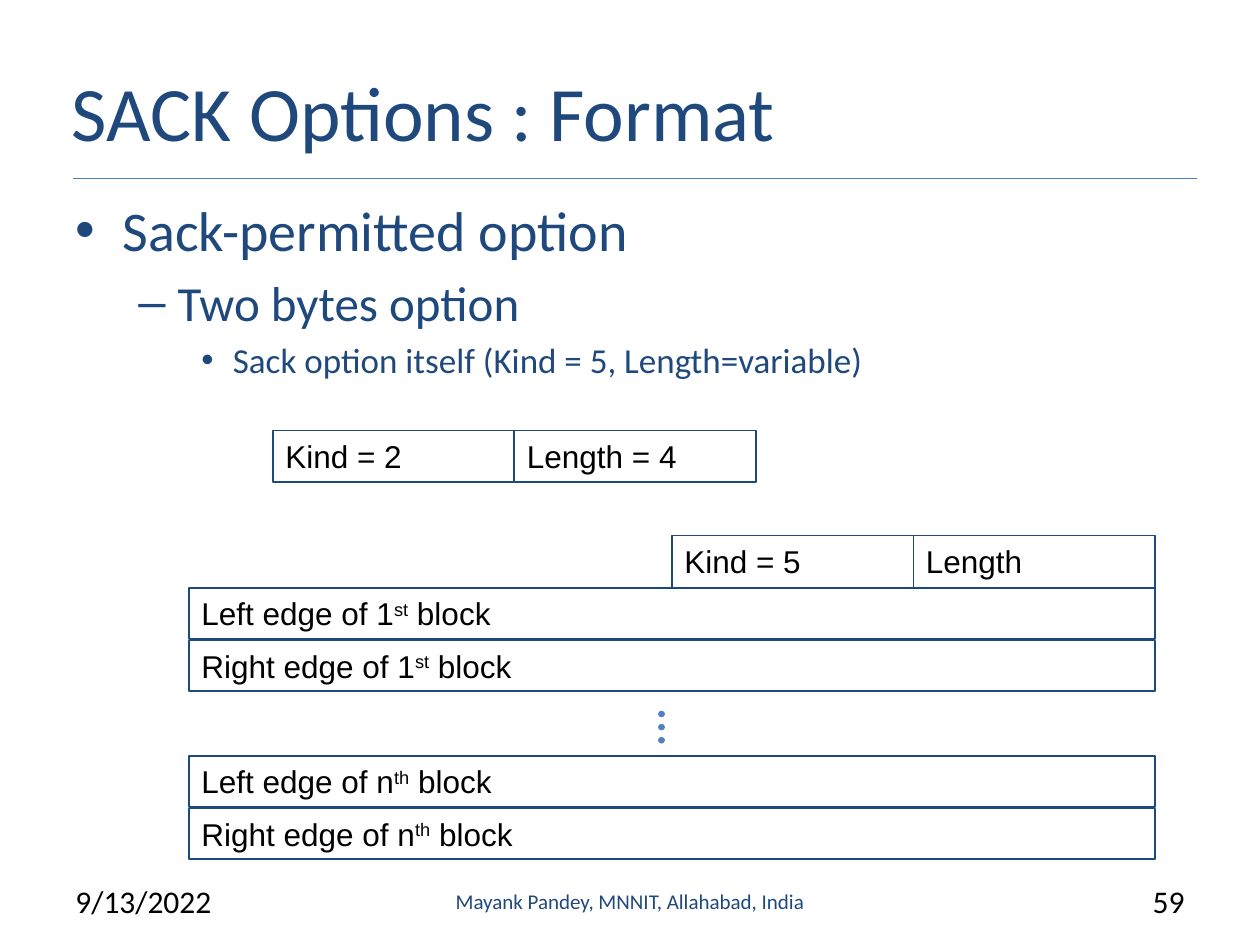
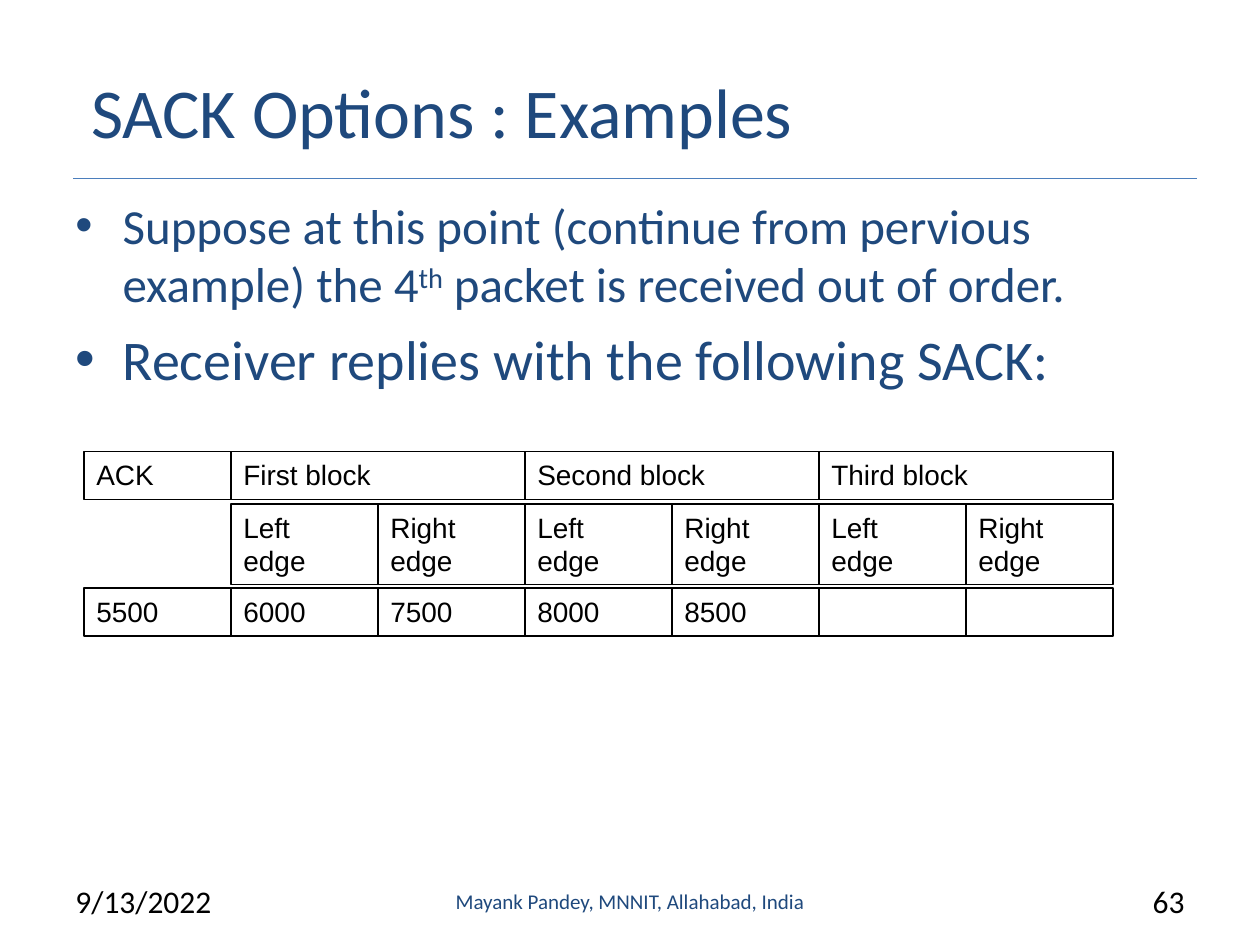
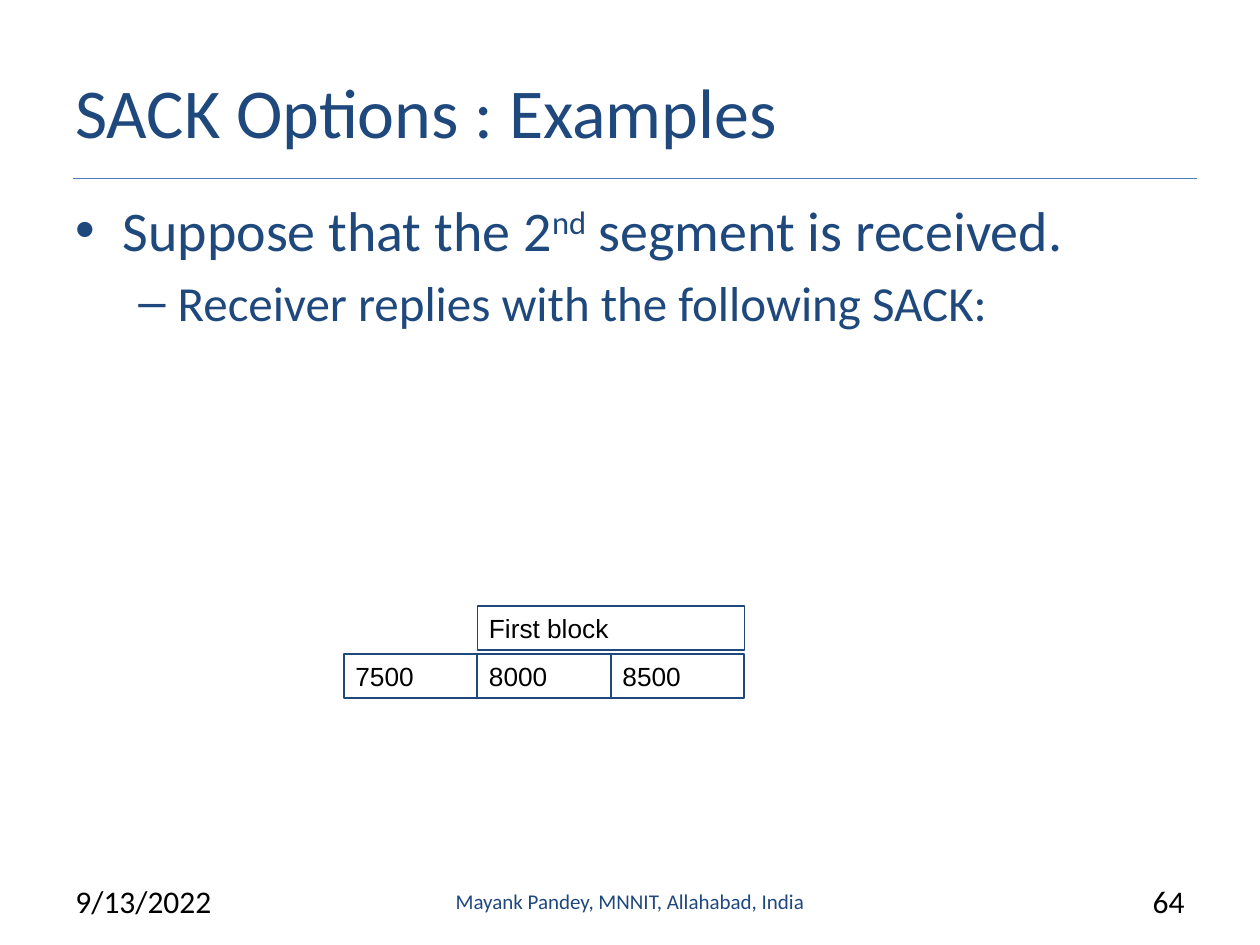
"""Build three slides on the format and use of SACK options."""
from lxml.etree import SubElement
from pptx import Presentation
from pptx.dml.color import RGBColor
from pptx.enum.dml import MSO_LINE
from pptx.enum.shapes import MSO_CONNECTOR, MSO_SHAPE
from pptx.enum.text import MSO_ANCHOR, PP_ALIGN
from pptx.oxml.ns import qn
from pptx.util import Pt

NAVY = RGBColor(0x1F, 0x49, 0x7D)
RULE_BLUE = RGBColor(0x4B, 0x7E, 0xBC)
DOT_BLUE = RGBColor(0x4F, 0x81, 0xBD)
BLACK = RGBColor(0, 0, 0)

DATE = "9/13/2022"
AUTHOR = "Mayank Pandey, MNNIT, Allahabad, India"
BODY_BOX = (36, 108, 648, 374.4)
TITLE_RULE = (42, 102, 684, 102)
BULLETS = [("•", 27, -27), ("–", 58.5, -22.5), ("•", 90, -18)]
EDGES = [("Left\nedge", 1), ("Right\nedge", 1)]

SLIDES = [
    {
        "title": ("SACK Options : Format", 44, 24, 10),
        "number": "59",
        "body": [
            (0, 32, "Sack-permitted option"),
            (1, 28, "Two bytes option"),
            (2, 20, "Sack option itself (Kind = 5, Length=variable)"),
        ],
        "grid": {"unit": 138, "size": 18, "line": NAVY, "inset": (7.2, 3.6)},
        "rows": [
            (156, 246, 29.5, [("Kind = 2", 1), ("Length = 4", 1)]),
            (384, 306, 30, [("Kind = 5", 1), ("Length", 1)]),
            (108, 336, 29, [("Left edge of 1^st^ block", 4)]),
            (108, 366, 29, [("Right edge of 1^st^ block", 4)]),
            (108, 432, 29, [("Left edge of n^th^ block", 4)]),
            (108, 462, 29, [("Right edge of n^th^ block", 4)]),
        ],
        "dots": (378, 408, 378, 426),
    },
    {
        "title": ("SACK Options : Examples", 40, 36, 9),
        "number": "63",
        "body": [
            (0, 28, "Suppose at this point (continue from pervious example) "
                    "the 4^th^ packet is received out of order."),
            (0, 32, "Receiver replies with the following SACK:"),
        ],
        "grid": {"unit": 84, "size": 16, "line": BLACK, "inset": (7.2, 3.6)},
        "rows": [
            (48, 258, 27.4, [("ACK", 1), ("First block", 2),
                             ("Second block", 2), ("Third block", 2)]),
            (132, 288, 46, EDGES * 3),
            (48, 336, 27.4, [(value, 1) for value in
                             ("5500", "6000", "7500", "8000", "8500", "", "")]),
        ],
    },
    {
        "title": ("SACK Options : Examples", 40, 36, 0),
        "number": "64",
        "body": [
            (0, 32, "Suppose that the 2^nd^ segment is received."),
            (1, 28, "Receiver replies with the following SACK:"),
        ],
        "grid": {"unit": 76.3, "size": 15, "line": NAVY, "inset": (6.6, 3.4)},
        "rows": [
            (272.8, 346.3, 25.2, [("First block", 2)]),
            (196.5, 373.6, 25.2, [("7500", 1), ("8000", 1), ("8500", 1)]),
        ],
    },
]


def points(values):
    return [Pt(value) for value in values]


def set_attributes(target, formats):
    for name, value in formats.items():
        setattr(target, name, value)


def write(paragraph, text, size, font="Calibri", color=NAVY, align=PP_ALIGN.LEFT):
    """Fill a paragraph; parts between carets are raised."""
    paragraph.alignment = align
    for index, part in enumerate(text.split("^")):
        run = paragraph.add_run()
        run.text = part
        set_attributes(run.font, {"name": font, "size": Pt(size)})
        run.font.color.rgb = color
        if index % 2:
            run.font._element.set("baseline", "30000")


def set_indent(paragraph, margin, indent=0):
    properties = paragraph._p.get_or_add_pPr()
    properties.set("marL", str(Pt(margin)))
    properties.set("indent", str(Pt(indent)))
    return properties


def add_text_frame(slide, box, anchor=MSO_ANCHOR.TOP):
    frame = slide.shapes.add_textbox(*points(box)).text_frame
    set_attributes(frame, {"word_wrap": True, "vertical_anchor": anchor})
    return frame


def add_line(slide, ends, color, width):
    connector = slide.shapes.add_connector(MSO_CONNECTOR.STRAIGHT, *points(ends))
    connector.line.color.rgb = color
    connector.line.width = Pt(width)
    SubElement(connector._element.spPr, qn("a:effectLst"))
    return connector


def add_title(slide, text, size, left, margin):
    frame = add_text_frame(slide, (left, 18, 648, 90), MSO_ANCHOR.MIDDLE)
    set_indent(frame.paragraphs[0], margin)
    write(frame.paragraphs[0], text, size)


def add_body(slide, items):
    frame = add_text_frame(slide, BODY_BOX)
    for index, (level, size, text) in enumerate(items):
        paragraph = frame.add_paragraph() if index else frame.paragraphs[0]
        paragraph.level = level
        if index:
            paragraph.space_before = Pt(size * 0.2)
        mark, margin, indent = BULLETS[level]
        properties = set_indent(paragraph, margin, indent)
        SubElement(properties, qn("a:buFont")).set("typeface", "Arial")
        SubElement(properties, qn("a:buChar")).set("char", mark)
        write(paragraph, text, size)


def add_cell(slide, box, text, grid):
    shape = slide.shapes.add_shape(MSO_SHAPE.RECTANGLE, *points(box))
    shape.shadow.inherit = False
    shape.fill.background()
    shape.line.color.rgb = grid["line"]
    shape.line.width = Pt(1)
    if not text:
        return
    across, down = points(grid["inset"])
    frame = shape.text_frame
    set_attributes(frame, {
        "word_wrap": True, "vertical_anchor": MSO_ANCHOR.TOP,
        "margin_left": across, "margin_right": across,
        "margin_top": down, "margin_bottom": down,
    })
    for index, line in enumerate(text.split("\n")):
        paragraph = frame.add_paragraph() if index else frame.paragraphs[0]
        write(paragraph, line, grid["size"], "Arial", BLACK)


def add_rows(slide, rows, grid):
    for left, top, height, cells in rows:
        for text, span in cells:
            width = span * grid["unit"]
            add_cell(slide, (left, top, width, height), text, grid)
            left += width


def add_dots(slide, ends):
    connector = add_line(slide, ends, DOT_BLUE, 3.75)
    connector.line.dash_style = MSO_LINE.ROUND_DOT
    connector.line._get_or_add_ln().set("cap", "rnd")


def add_footer(slide, number):
    parts = [
        (DATE, 36, 168, 18, BLACK, PP_ALIGN.LEFT, MSO_ANCHOR.TOP),
        (number, 630, 54, 18, BLACK, PP_ALIGN.RIGHT, MSO_ANCHOR.TOP),
        (AUTHOR, 246, 228, 12, NAVY, PP_ALIGN.CENTER, MSO_ANCHOR.MIDDLE),
    ]
    for text, left, width, size, color, align, anchor in parts:
        frame = add_text_frame(slide, (left, 500.5, width, 28.8), anchor)
        write(frame.paragraphs[0], text, size, color=color, align=align)


def main():
    presentation = Presentation()
    presentation.slide_width, presentation.slide_height = Pt(720), Pt(540)
    for content in SLIDES:
        slide = presentation.slides.add_slide(presentation.slide_layouts[6])
        add_line(slide, TITLE_RULE, RULE_BLUE, 0.75)
        add_title(slide, *content["title"])
        add_body(slide, content["body"])
        add_rows(slide, content["rows"], content["grid"])
        if "dots" in content:
            add_dots(slide, content["dots"])
        add_footer(slide, content["number"])
    presentation.save("out.pptx")


if __name__ == "__main__":
    main()
